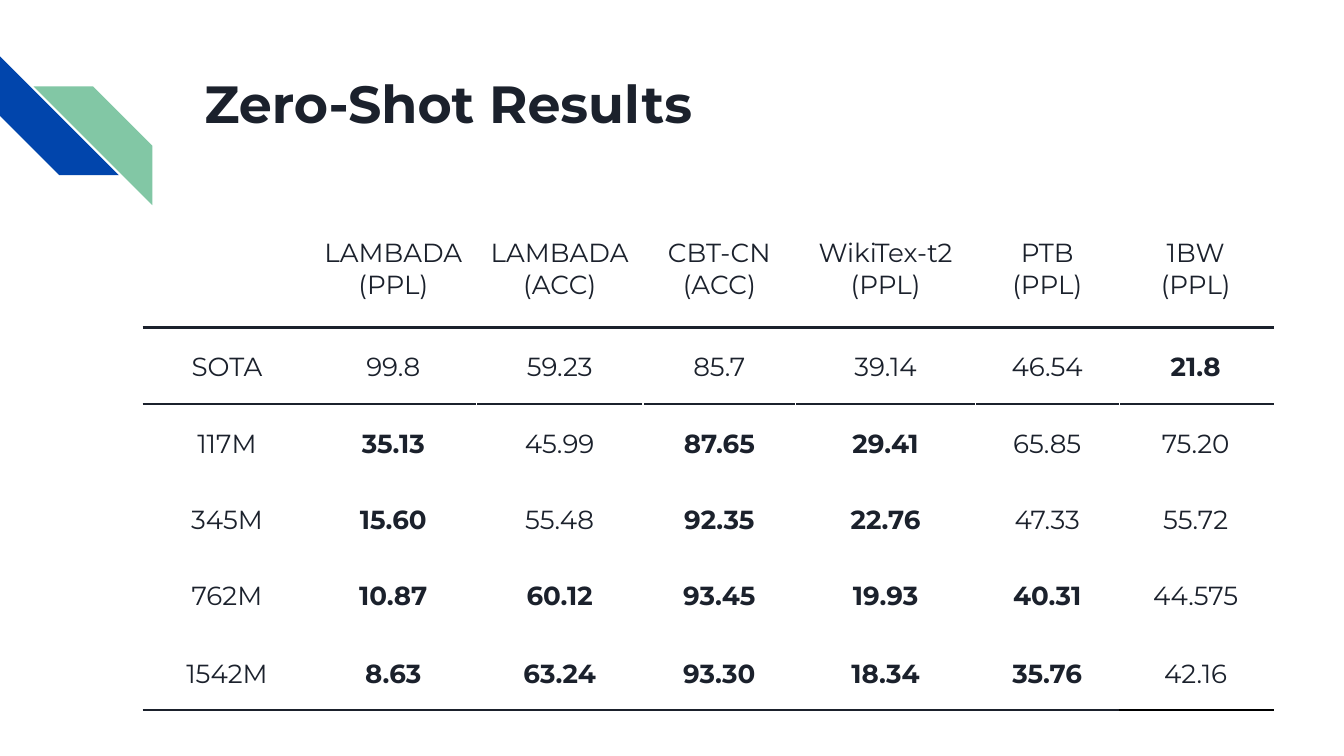
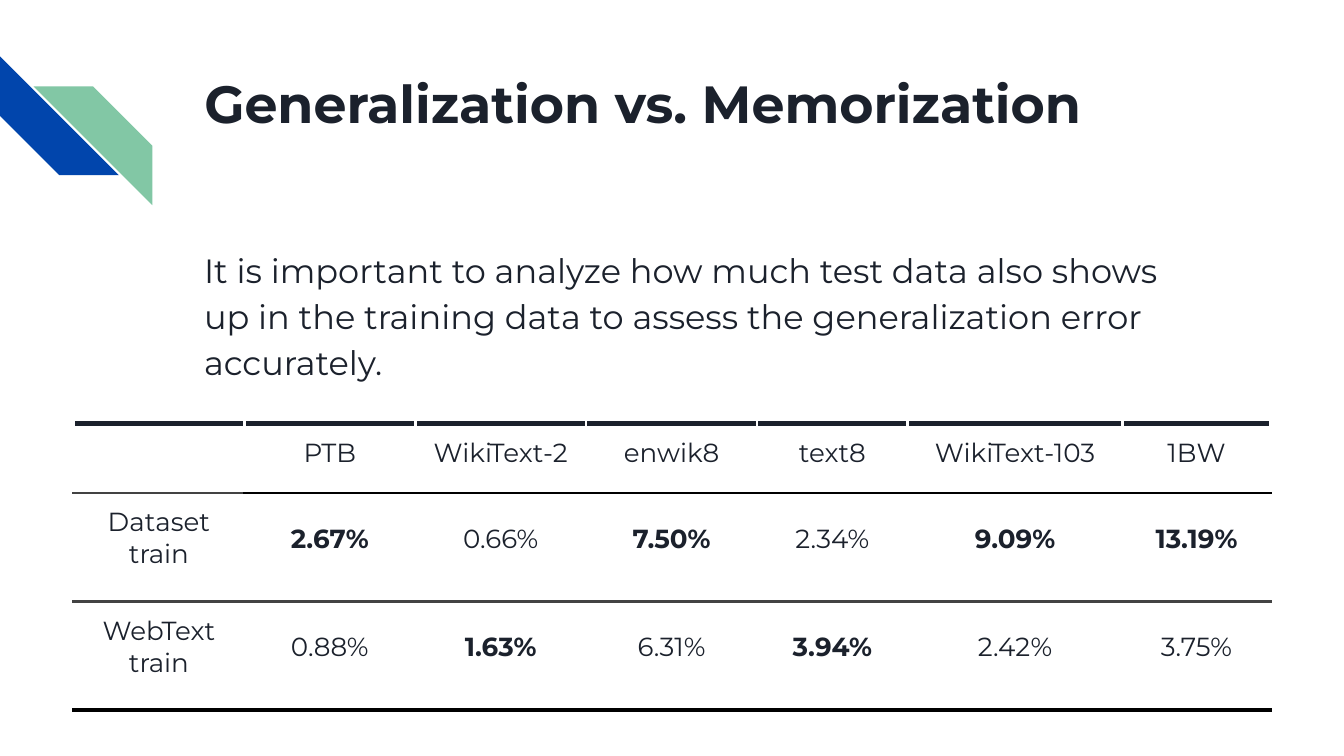
from dataclasses import dataclass

import lxml.etree
import pptx
import pptx.dml.color
import pptx.enum.shapes
import pptx.enum.text
import pptx.oxml.ns
import pptx.util

COLORS = {
    "ink": "1B212C",
    "white": "FFFFFF",
    "black": "000000",
    "gray": "434343",
    "blue": "0145AC",
    "green": "82C7A5",
}
FONT = "Montserrat"
SLIDE_WIDTH = pptx.util.Inches(10)
SLIDE_HEIGHT = SLIDE_WIDTH * 9 // 16
GRID_COLUMNS = 100  # square grid: one unit is a hundredth of the slide width
TEXT_LEFT, TITLE_WIDTH, BODY_WIDTH = 14.2, 77, 76.7
BOLD_MARK = "*"  # a leading mark sets a table value in bold


@dataclass(frozen=True)
class Stripe:
    left: float
    top: float
    color: str
    rotation: int = 0
    mirrored: bool = False


@dataclass(frozen=True)
class Rule:
    colors: list[str]  # one per table column
    width: float = 1.5


@dataclass(frozen=True)
class TableDesign:
    left: float
    top: float
    columns: list[float]
    rows: list[float]
    cells: list[list[str]]
    rules: dict[int, Rule]  # keyed by row boundary, 0 is the top edge
    header_top: float
    header_bottom: float
    label_top: float
    value_top: float
    thin_from_row: int = 99  # inner lines of the values are thin from here on


STRIPES = [
    Stripe(0, 4.2, "blue", rotation=270),
    Stripe(2.5, 6.43, "green", mirrored=True),
]
STRIPE_SIZE = 8.84

ZERO_SHOT = TableDesign(
    left=10.7, top=15.87,
    columns=[12.38, 12.38, 12.38, 11.38, 13.37, 10.69, 11.4],
    rows=[8.5, 5.67, 5.67, 5.67, 5.77, 5.67],
    cells=[
        ["", "LAMBADA\n(PPL)", "LAMBADA\n(ACC)", "CBT-CN\n(ACC)",
         "WikiTex-t2\n(PPL)", "PTB\n(PPL)", "1BW\n(PPL)"],
        ["SOTA", "99.8", "59.23", "85.7", "39.14", "46.54", "*21.8"],
        ["117M", "*35.13", "45.99", "*87.65", "*29.41", "65.85", "75.20"],
        ["345M", "*15.60", "55.48", "*92.35", "*22.76", "47.33", "55.72"],
        ["762M", "*10.87", "*60.12", "*93.45", "*19.93", "*40.31", "44.575"],
        ["1542M", "*8.63", "*63.24", "*93.30", "*18.34", "*35.76", "42.16"],
    ],
    rules={
        1: Rule(["ink"] * 7),
        2: Rule(["ink"] * 7),
        6: Rule(["ink"] * 6 + ["black"]),
    },
    header_top=1.8, header_bottom=0.2, label_top=1.8, value_top=1.8,
    thin_from_row=2,
)

OVERLAP = TableDesign(
    left=5.47, top=31.5,
    columns=[12.72, 12.72, 12.72, 12.72, 11.2, 16, 11],
    rows=[5.2, 8.07, 8.07],
    cells=[
        ["", "PTB", "WikiText-2", "enwik8", "text8", "WikiText-103", "1BW"],
        ["Dataset train", "*2.67%", "0.66%", "*7.50%", "2.34%", "*9.09%", "*13.19%"],
        ["WebText train", "0.88%", "*1.63%", "6.31%", "*3.94%", "2.42%", "3.75%"],
    ],
    rules={
        0: Rule(["ink"] * 7, 3),
        1: Rule(["gray"] + ["black"] * 6),
        2: Rule(["gray"] * 7),
        3: Rule(["black"] * 7, 3),
    },
    header_top=1, header_bottom=1, label_top=1, value_top=2.2,
)


def grid(units: float) -> int:
    return round(SLIDE_WIDTH * units / GRID_COLUMNS)


def color(name: str) -> pptx.dml.color.RGBColor:
    return pptx.dml.color.RGBColor.from_string(COLORS[name])


def add_text(paragraph, text: str, size: float, bold: bool = False) -> None:
    run = paragraph.add_run()
    run.text = text
    run.font.name = FONT
    run.font.size = pptx.util.Pt(size)
    run.font.bold = bold
    run.font.color.rgb = color("ink")


def format_frame(frame) -> None:
    frame.word_wrap = True
    frame.auto_size = pptx.enum.text.MSO_AUTO_SIZE.NONE
    frame.vertical_anchor = pptx.enum.text.MSO_ANCHOR.TOP
    frame.margin_left = frame.margin_right = grid(1)
    frame.margin_top = frame.margin_bottom = grid(1)


def add_stripe(slide, stripe: Stripe) -> None:
    shape = slide.shapes.add_shape(
        pptx.enum.shapes.MSO_SHAPE.DIAGONAL_STRIPE,
        grid(stripe.left), grid(stripe.top), grid(STRIPE_SIZE), grid(STRIPE_SIZE))
    shape.adjustments[0] = 0.5
    shape.rotation = stripe.rotation
    shape.shadow.inherit = False
    shape.fill.solid()
    shape.fill.fore_color.rgb = color(stripe.color)
    shape.line.fill.background()
    if stripe.mirrored:
        shape.element.spPr.find(pptx.oxml.ns.qn("a:xfrm")).set("flipH", "1")


def add_titled_slide(presentation, title: str):
    slide = presentation.slides.add_slide(presentation.slide_layouts[5])
    slide.background.fill.solid()
    slide.background.fill.fore_color.rgb = color("white")
    for stripe in STRIPES:
        add_stripe(slide, stripe)
    shape = slide.shapes.title
    shape.left, shape.top = grid(TEXT_LEFT), grid(4.3)
    shape.width, shape.height = grid(TITLE_WIDTH), grid(10)
    format_frame(shape.text_frame)
    paragraph = shape.text_frame.paragraphs[0]
    paragraph.alignment = pptx.enum.text.PP_ALIGN.LEFT
    add_text(paragraph, title, 28, bold=True)
    return slide


def add_body(slide, text: str) -> None:
    shape = slide.shapes.add_textbox(
        grid(TEXT_LEFT), grid(17.13), grid(BODY_WIDTH), grid(31.8))
    format_frame(shape.text_frame)
    paragraph = shape.text_frame.paragraphs[0]
    paragraph.line_spacing = 1.15
    add_text(paragraph, text, 18)


def set_borders(cell, borders: list[tuple[str, str, float]]) -> None:
    properties = cell._tc.get_or_add_tcPr()
    for position, (side, name, width) in enumerate(borders):
        line = lxml.etree.Element(
            pptx.oxml.ns.qn(f"a:ln{side}"), w=str(pptx.util.Pt(width)))
        fill = lxml.etree.SubElement(line, pptx.oxml.ns.qn("a:solidFill"))
        lxml.etree.SubElement(fill, pptx.oxml.ns.qn("a:srgbClr"), val=COLORS[name])
        properties.insert(position, line)  # lines come before the cell fill


def cell_borders(design: TableDesign, row: int, column: int) -> list[tuple[str, str, float]]:
    def vertical(side: str, edge: int) -> tuple[str, str, float]:
        thin = row >= design.thin_from_row and 1 < edge < len(design.columns)
        return side, "white", 0.75 if thin else 1.5

    def horizontal(side: str, edge: int) -> tuple[str, str, float]:
        if edge in design.rules:
            rule = design.rules[edge]
            return side, rule.colors[column], rule.width
        thin = edge > design.thin_from_row and column > 0
        return side, "white", 0.75 if thin else 1.5

    return [vertical("L", column), vertical("R", column + 1),
            horizontal("T", row), horizontal("B", row + 1)]


def fill_cell(cell, design: TableDesign, row: int, column: int) -> None:
    cell.fill.solid()
    cell.fill.fore_color.rgb = color("white")
    set_borders(cell, cell_borders(design, row, column))
    cell.margin_left = cell.margin_right = grid(1)
    if row == 0:
        top, bottom = design.header_top, design.header_bottom
    else:
        top, bottom = (design.value_top if column else design.label_top), 1
    cell.margin_top, cell.margin_bottom = grid(top), grid(bottom)

    text = design.cells[row][column]
    if not text:
        return
    frame = cell.text_frame
    for index, line in enumerate(text.split("\n")):
        paragraph = frame.add_paragraph() if index else frame.paragraphs[0]
        paragraph.alignment = pptx.enum.text.PP_ALIGN.CENTER
        add_text(paragraph, line.removeprefix(BOLD_MARK), 14, line.startswith(BOLD_MARK))


def add_results_table(slide, design: TableDesign) -> None:
    table = slide.shapes.add_table(
        len(design.rows), len(design.columns), grid(design.left), grid(design.top),
        grid(sum(design.columns)), grid(sum(design.rows))).table
    table.first_row = table.horz_banding = False
    for column, width in enumerate(design.columns):
        table.columns[column].width = grid(width)
    for row, height in enumerate(design.rows):
        table.rows[row].height = grid(height)
        for column in range(len(design.columns)):
            fill_cell(table.cell(row, column), design, row, column)


def main() -> None:
    presentation = pptx.Presentation()
    presentation.slide_width = SLIDE_WIDTH
    presentation.slide_height = SLIDE_HEIGHT

    # Zero-shot results
    slide = add_titled_slide(presentation, "Zero-Shot Results")
    add_results_table(slide, ZERO_SHOT)

    # Overlap of test and training data
    slide = add_titled_slide(presentation, "Generalization vs. Memorization")
    add_body(slide, "It is important to analyze how much test data also shows up in the "
                    "training data to assess the generalization error accurately.")
    add_results_table(slide, OVERLAP)

    presentation.save("out.pptx")


if __name__ == "__main__":
    main()
